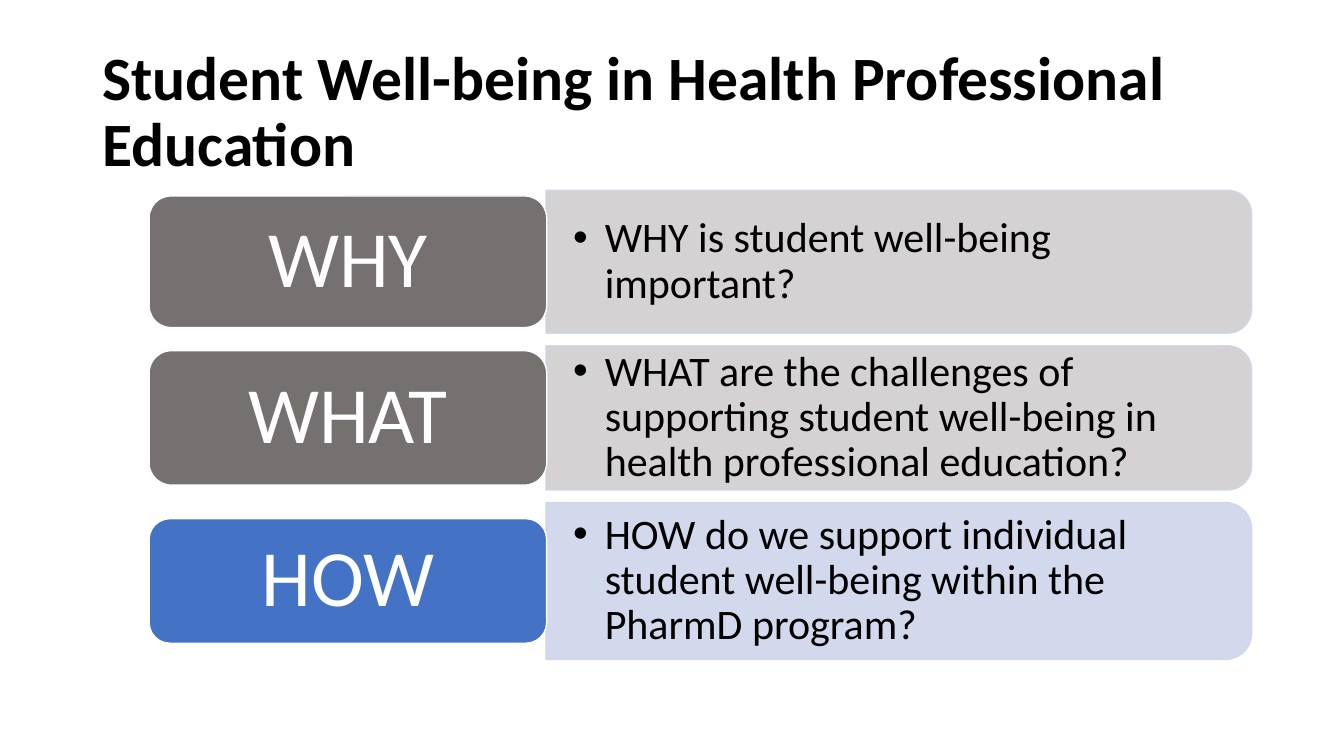
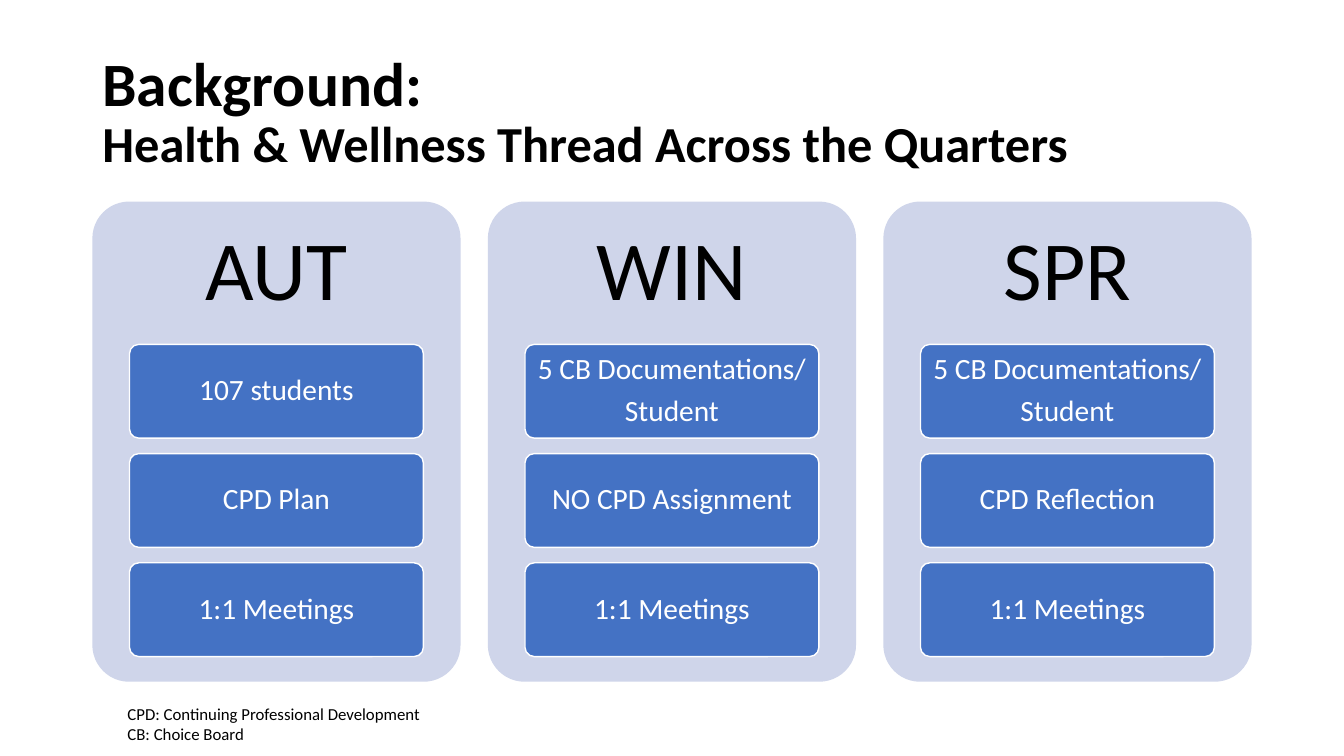
"""Builds two slides on student well-being in health professional education."""
from lxml import etree
from pptx import Presentation
from pptx.dml.color import RGBColor
from pptx.enum.shapes import MSO_SHAPE
from pptx.enum.text import MSO_ANCHOR, MSO_AUTO_SIZE, PP_ALIGN
from pptx.oxml.ns import qn
from pptx.util import Pt

BLACK = RGBColor(0x00, 0x00, 0x00)
WHITE = RGBColor(0xFF, 0xFF, 0xFF)
BLUE = RGBColor(0x44, 0x72, 0xC4)
PALE = RGBColor(0xCF, 0xD5, 0xEA)
GRAY = RGBColor(0x76, 0x71, 0x71)
LIGHT = RGBColor(0xD0, 0xCE, 0xCE)
FONT = "Calibri"
LEFT, CENTER = PP_ALIGN.LEFT, PP_ALIGN.CENTER
TOP, MIDDLE = MSO_ANCHOR.TOP, MSO_ANCHOR.MIDDLE
ROUND, TAB = MSO_SHAPE.ROUNDED_RECTANGLE, MSO_SHAPE.ROUND_2_SAME_RECTANGLE
FIXED = MSO_AUTO_SIZE.NONE

ROWS = [
    ("WHY", "WHY is student well-being important?", 102, 94, GRAY, LIGHT),
    ("WHAT", "WHAT are the challenges of supporting student well-being in "
     "health professional education?", 103, 96, GRAY, LIGHT),
    ("HOW", "HOW do we support individual student well-being within the "
     "PharmD program?", 112, 89, BLUE, PALE),
]
TERMS = [
    ("AUT", ["107 students", "CPD Plan", "1:1 Meetings"]),
    ("WIN", ["5 CB Documentations/\nStudent", "NO CPD Assignment",
             "1:1 Meetings"]),
    ("SPR", ["5 CB Documentations/\nStudent", "CPD Reflection",
             "1:1 Meetings"]),
]


def write(frame, text, size, color=BLACK, bold=False, align=LEFT,
          anchor=MIDDLE, space=0.9, gap=0, inset=(7.2, 3.6, 7.2, 3.6),
          bullet=False):
    """Fill a text frame, one paragraph per line of text."""
    frame.word_wrap = True
    frame.auto_size = FIXED
    frame.vertical_anchor = anchor
    (frame.margin_left, frame.margin_top,
     frame.margin_right, frame.margin_bottom) = map(Pt, inset)
    for index, line in enumerate(text.split("\n")):
        para = frame.add_paragraph() if index else frame.paragraphs[0]
        para.alignment = align
        para.line_spacing = space
        if index:
            para.space_before = Pt(gap)
        if bullet:
            props = para._p.get_or_add_pPr()
            props.set("marL", str(Pt(22.5)))
            props.set("indent", str(Pt(-22.5)))
            etree.SubElement(props, qn("a:buFont"), typeface="Arial")
            etree.SubElement(props, qn("a:buChar"), char="•")
        style(para.add_run(), line, size, color, bold)


def style(run, text, size, color, bold):
    """Set the text and font of one run."""
    run.text = text
    run.font.name = FONT
    run.font.size = Pt(size)
    run.font.bold = bold
    run.font.color.rgb = color


class Deck:
    """Holds the presentation, its style and the current slide."""

    def __init__(self):
        """Open a wide, empty presentation."""
        self.show = Presentation()
        self.show.slide_width, self.show.slide_height = Pt(960), Pt(540)
        self.slide = None

    def start(self, title, sub=""):
        """Add a slide with a title and a smaller second line."""
        self.slide = self.show.slides.add_slide(self.show.slide_layouts[5])
        head = self.slide.shapes.title
        head.left, head.top, head.width, head.height = map(
            Pt, (66, 29, 828, 104))
        write(head.text_frame, title, 44, bold=True)
        if sub:
            para = head.text_frame.paragraphs[0]
            para.add_line_break()
            style(para.add_run(), sub, 36, BLACK, True)

    def shape(self, kind, box, fill, line=None):
        """Add a flat preset shape."""
        item = self.slide.shapes.add_shape(kind, *map(Pt, box))
        item.shadow.inherit = False
        item.fill.solid()
        item.fill.fore_color.rgb = fill
        if line is None:
            item.line.fill.background()
        else:
            item.line.color.rgb = line
            item.line.width = Pt(1)
        return item

    def block(self, box, text, size, fill, line=None, color=WHITE,
              round=None, **form):
        """Add a rounded block with centred text."""
        item = self.shape(ROUND, box, fill, line)
        if round is not None:
            item.adjustments[0] = round
        write(item.text_frame, text, size, color, align=CENTER, **form)

    def panel(self, box, text, fill):
        """Add a clear panel rounded on its right, with a bullet."""
        left, top, width, height = box
        shift = (width - height) / 2
        item = self.shape(
            TAB, (left + shift, top - shift, height, width), fill, PALE)
        item.rotation = 90
        for color in item._element.spPr.iter(qn("a:srgbClr")):
            etree.SubElement(color, qn("a:alpha"), val="90000")
        self.note((left, top, width - 5, height), text, 30,
                  inset=(19.5, 10, 19.5, 10), bullet=True)

    def note(self, box, text, size, **form):
        """Add a plain text box."""
        item = self.slide.shapes.add_textbox(*map(Pt, box))
        write(item.text_frame, text, size, **form)


def main():
    """Build and save both slides."""
    deck = Deck()
    deck.start("Student Well-being in Health Professional Education")
    top = 136
    for word, text, tall, high, dark, pale in ROWS:
        deck.panel((390, top, 504, tall), text, pale)
        deck.block((106.5, top + (tall - high) / 2, 284, high),
                   word, 57, dark, WHITE)
        top += tall + 9

    deck.start("Background:", "Health & Wellness Thread Across the Quarters")
    for col, (term, items) in enumerate(TERMS):
        left = 66 + col * 282.5
        deck.block((left, 144, 263, 343), term, 60, PALE, color=BLACK,
                   round=0.1, inset=(18, 0, 18, 240))
        for row, text in enumerate(items):
            deck.block((left + 26.5, 246 + row * 78, 210, 67), text, 21,
                       BLUE, WHITE, round=0.1, gap=7, inset=(4, 3, 4, 3))
    deck.note((84, 499, 341, 36),
              "CPD: Continuing Professional Development\nCB: Choice Board",
              12, anchor=TOP, space=1.0)
    deck.show.save("out.pptx")


if __name__ == "__main__":
    main()
